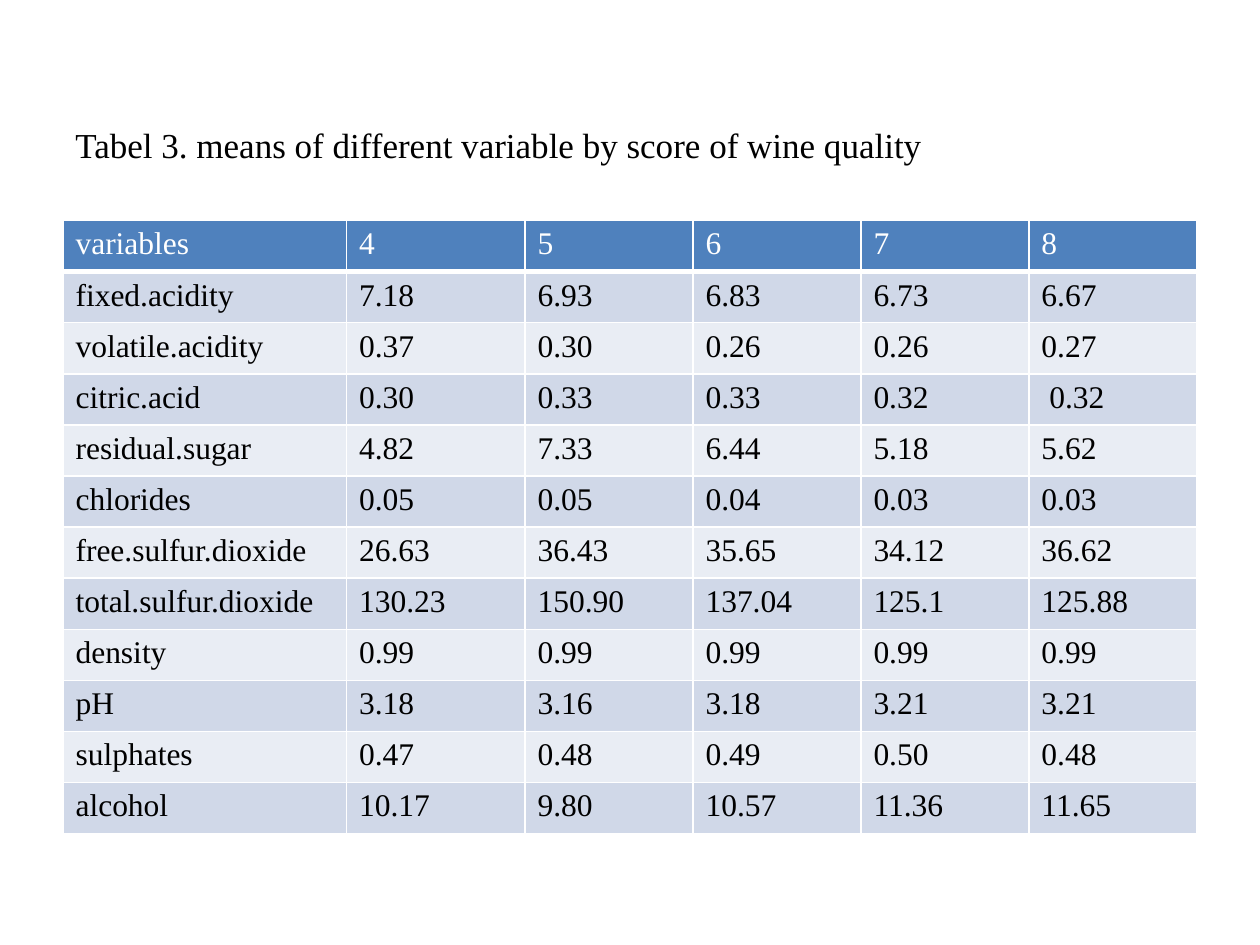
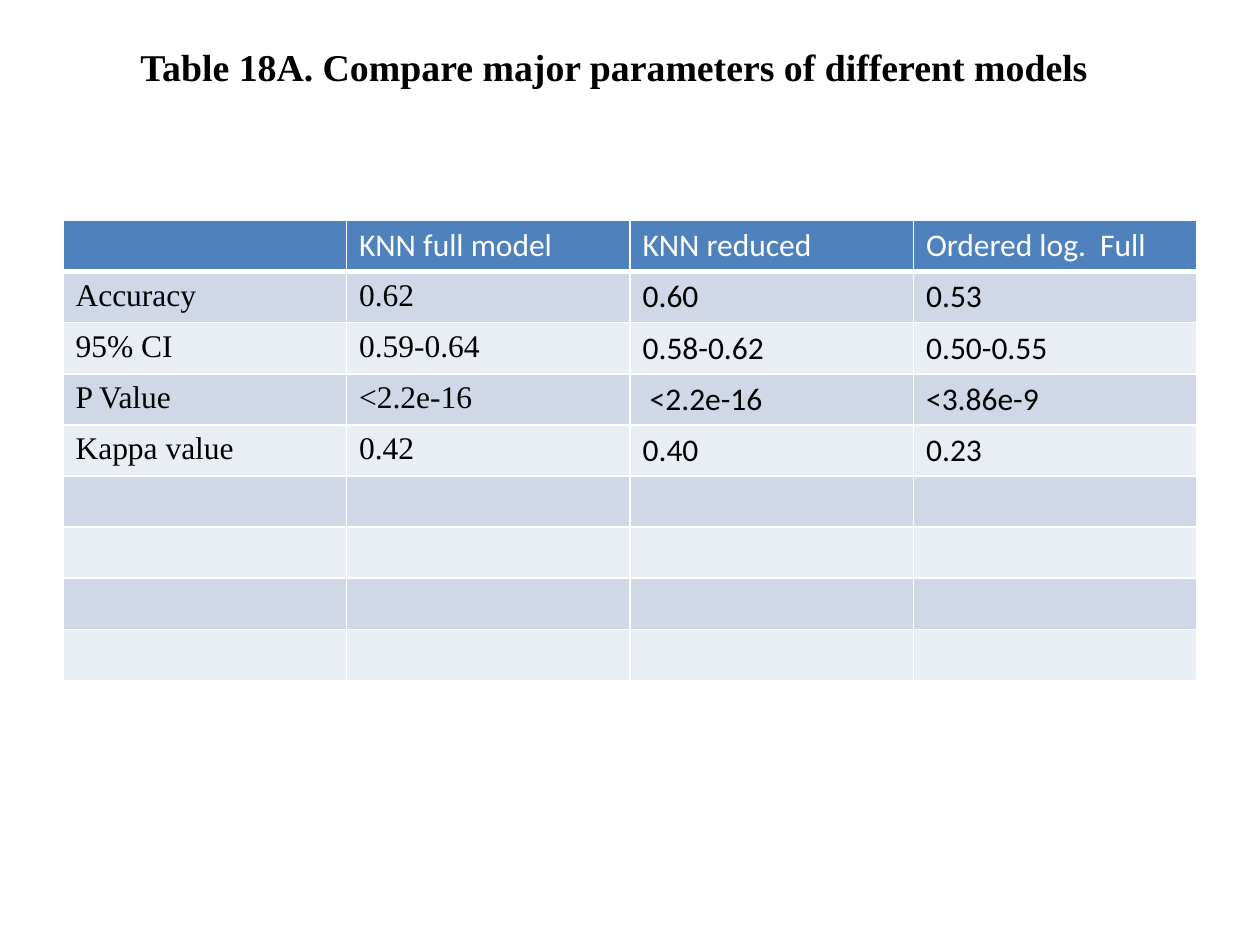
import pptx
import pptx.dml.color
import pptx.enum.text
import pptx.oxml.ns
import pptx.util
import lxml.etree

Pt = pptx.util.Pt
ALIGN = pptx.enum.text.PP_ALIGN
SERIF, SANS = "Times New Roman", "Calibri"
BLACK, WHITE, HEADER = "000000", "FFFFFF", "4F81BD"
BANDS = ("D0D8E8", "E9EDF4")
TABLE_LEFT, TABLE_TOP, ROW_HEIGHT = 36, 126, 29.2

WINE_MEANS = [
    ("variables", "4", "5", "6", "7", "8"),
    ("fixed.acidity", "7.18", "6.93", "6.83", "6.73", "6.67"),
    ("volatile.acidity", "0.37", "0.30", "0.26", "0.26", "0.27"),
    ("citric.acid", "0.30", "0.33", "0.33", "0.32", " 0.32"),
    ("residual.sugar", "4.82", "7.33", "6.44", "5.18", "5.62"),
    ("chlorides", "0.05", "0.05", "0.04", "0.03", "0.03"),
    ("free.sulfur.dioxide", "26.63", "36.43", "35.65", "34.12", "36.62"),
    ("total.sulfur.dioxide", "130.23", "150.90", "137.04", "125.1", "125.88"),
    ("density", "0.99", "0.99", "0.99", "0.99", "0.99"),
    ("pH", "3.18", "3.16", "3.18", "3.21", "3.21"),
    ("sulphates", "0.47", "0.48", "0.49", "0.50", "0.48"),
    ("alcohol", "10.17", "9.80", "10.57", "11.36", "11.65"),
]
MODEL_COMPARISON = [
    ("", "KNN full model", "KNN reduced", "Ordered log.  Full"),
    ("Accuracy", "0.62", "0.60", "0.53"),
    ("95% CI", "0.59-0.64", "0.58-0.62", "0.50-0.55"),
    ("P Value", "<2.2e-16", " <2.2e-16", "<3.86e-9"),
    ("Kappa value", "0.42", "0.40", "0.23"),
] + [("",) * 4] * 4


def rgb(hex_color):
    return pptx.dml.color.RGBColor.from_string(hex_color)


def set_borders(cell, widths):
    """Draw white cell edges; widths maps L, R, T, B to points."""
    properties = cell._tc.get_or_add_tcPr()
    for side, width in widths.items():
        edge = lxml.etree.SubElement(
            properties, pptx.oxml.ns.qn(f"a:ln{side}"), w=str(Pt(width)))
        fill = lxml.etree.SubElement(edge, pptx.oxml.ns.qn("a:solidFill"))
        lxml.etree.SubElement(fill, pptx.oxml.ns.qn("a:srgbClr"), val=WHITE)


class Deck:
    def __init__(self):
        self.presentation = pptx.Presentation()
        self.presentation.slide_width = Pt(720)
        self.presentation.slide_height = Pt(540)
        self.slide = None

    def new_slide(self):
        blank = self.presentation.slide_layouts[6]
        self.slide = self.presentation.slides.add_slide(blank)

    def add_text(self, frame, text, color=BLACK, align=ALIGN.LEFT,
                 **font_format):
        paragraph = frame.paragraphs[0]
        paragraph.alignment = align
        run = paragraph.add_run()
        run.text = text
        for name, value in font_format.items():
            setattr(run.font, name, value)
        run.font.color.rgb = rgb(color)

    def title(self, text, left, top, width, height, **text_format):
        frame = self.slide.shapes.add_textbox(
            Pt(left), Pt(top), Pt(width), Pt(height)).text_frame
        frame.word_wrap = True
        frame.vertical_anchor = pptx.enum.text.MSO_ANCHOR.MIDDLE
        self.add_text(frame, text, name=SERIF, **text_format)

    def table(self, rows, column_widths, font_for):
        """Add a banded table; font_for(row, column) names each cell's font."""
        table = self.slide.shapes.add_table(
            len(rows), len(column_widths), Pt(TABLE_LEFT), Pt(TABLE_TOP),
            Pt(sum(column_widths)), Pt(ROW_HEIGHT * len(rows))).table
        for column, width in zip(table.columns, column_widths):
            column.width = Pt(width)
        for r, values in enumerate(rows):
            table.rows[r].height = Pt(ROW_HEIGHT)
            is_header = r == 0
            for c, value in enumerate(values):
                cell = table.cell(r, c)
                set_borders(cell, {"L": 1, "R": 1, "T": 1,
                                   "B": 3 if is_header else 1})
                cell.fill.solid()
                cell.fill.fore_color.rgb = rgb(
                    HEADER if is_header else BANDS[(r - 1) % 2])
                if value:
                    self.add_text(cell.text_frame, value,
                                  WHITE if is_header else BLACK,
                                  name=font_for(r, c), size=Pt(18), bold=False)


def main():
    deck = Deck()

    deck.new_slide()
    deck.title("Tabel 3. means of different variable by score of wine quality",
               36, 54, 648, 57.6, size=Pt(20))
    deck.table(WINE_MEANS, [162, 102] + [96] * 4, lambda row, column: SERIF)

    deck.new_slide()
    deck.title("Table 18A. Compare major parameters of different models",
               18, 21.6, 666, 32.4, size=Pt(21.6), bold=True,
               align=ALIGN.CENTER)
    deck.table(MODEL_COMPARISON, [162] * 4,
               lambda row, column: SERIF if row and column < 2 else SANS)

    deck.presentation.save("out.pptx")


if __name__ == "__main__":
    main()
